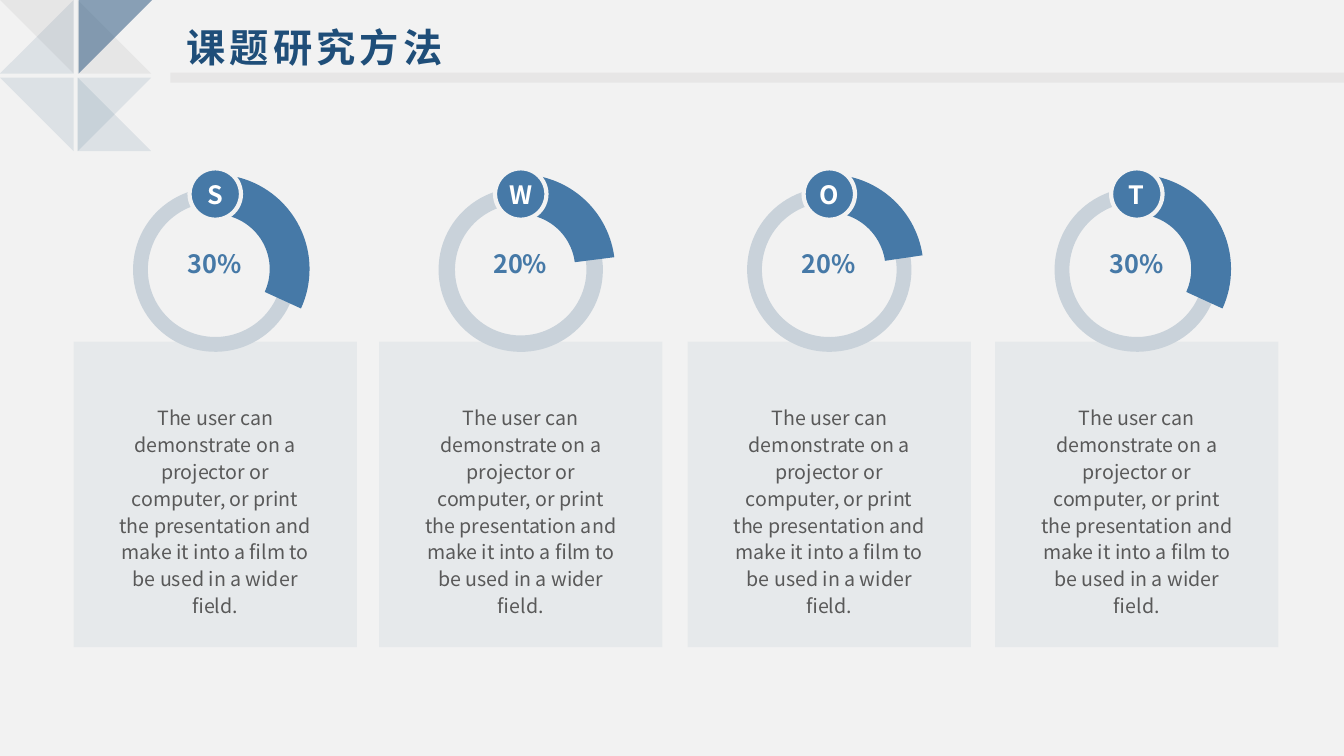
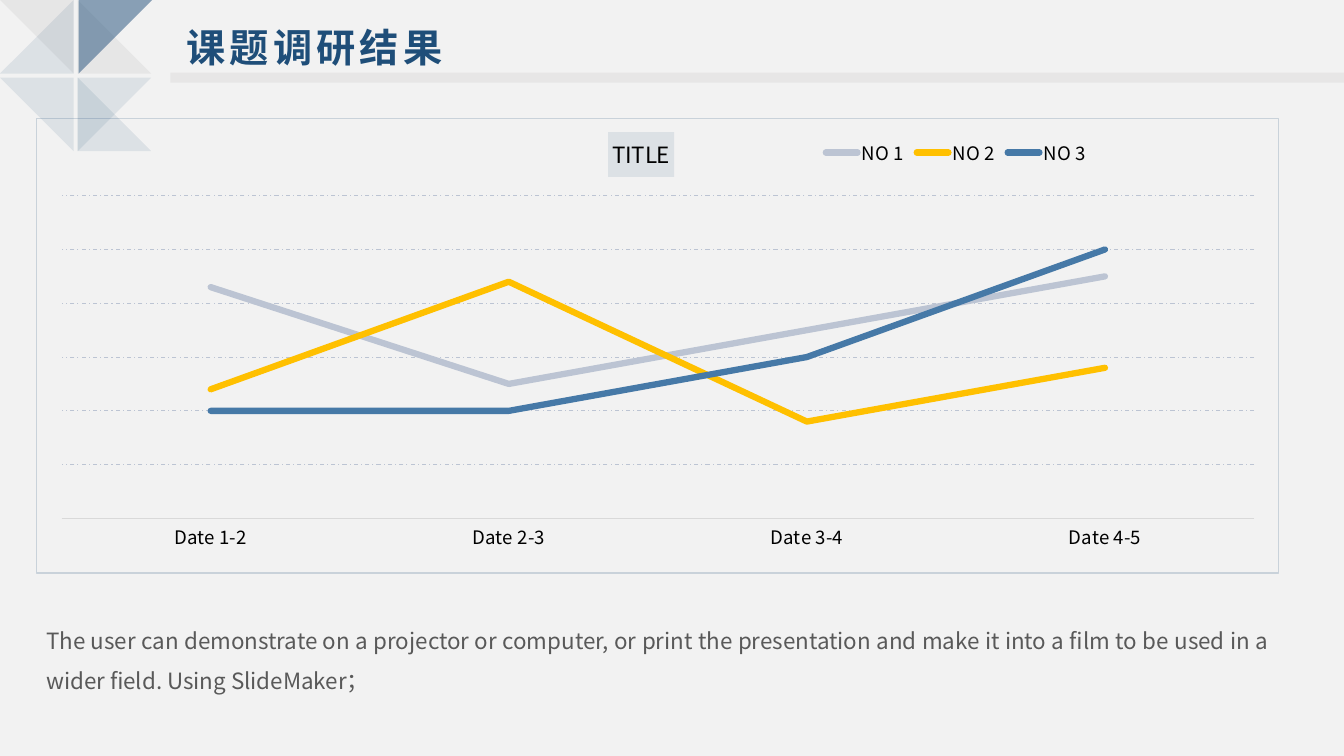
from dataclasses import dataclass
from typing import Any, NamedTuple

import lxml.etree
import pptx
import pptx.chart.chart
import pptx.chart.data
import pptx.dml.color
import pptx.dml.fill
import pptx.enum.chart
import pptx.enum.dml
import pptx.enum.shapes
import pptx.enum.text
import pptx.oxml.ns
import pptx.shapes.autoshape
import pptx.slide
import pptx.text.text
import pptx.util

Inches = pptx.util.Inches
Pt = pptx.util.Pt
qn = pptx.oxml.ns.qn
Preset = pptx.enum.shapes.MSO_SHAPE
Align = pptx.enum.text.PP_ALIGN
AutoSize = pptx.enum.text.MSO_AUTO_SIZE
Shape = pptx.shapes.autoshape.Shape
Slide = pptx.slide.Slide


@dataclass(frozen=True)
class Theme:
    font: str = "Noto Sans CJK SC"
    paper: str = "F2F2F2"
    navy: str = "1F4E79"
    blue: str = "4679A7"
    ring: str = "C9D2DA"
    panel: str = "DCE1E5"
    band: str = "E7E6E6"
    grey: str = "7F7F7F"
    body: str = "595959"
    white: str = "FFFFFF"
    black: str = "000000"
    axis: str = "D9D9D9"
    mist: str = "BCC4D3"
    gold: str = "FFC000"
    title_size: float = 28
    mark_size: float = 18
    text_size: float = 16
    card_size: float = 14
    chart_size: float = 13.3


THEME = Theme()


class Box(NamedTuple):
    left: float
    top: float
    width: float
    height: float

    def lengths(self) -> tuple[pptx.util.Length, ...]:
        return tuple(Inches(side) for side in self)


class TextStyle(NamedTuple):
    size: float
    color: str
    bold: bool = False
    align: Any = Align.LEFT
    line_height: float | None = None  # points


class Triangle(NamedTuple):
    """A square without one corner: 0 top left, then clockwise."""
    left: float
    top: float
    missing: int
    color: str
    opacity: int


class Factor(NamedTuple):
    letter: str
    percent: str
    card_left: float
    ring_turn: float
    ring_start: float
    ring_end: float
    ring_depth: float
    arc_end: float
    arc_depth: float


class Series(NamedTuple):
    name: str
    values: tuple[int, ...]
    color: str


TITLE = TextStyle(THEME.title_size, THEME.navy, True, Align.LEFT, 35.8)
CARD_TEXT = TextStyle(THEME.card_size, THEME.body, False, Align.CENTER, 19.15)
SUMMARY = TextStyle(THEME.text_size, THEME.body, False, Align.JUSTIFY, 28.8)
PERCENT = TextStyle(THEME.mark_size, THEME.blue, True, Align.CENTER, 22.6)
BADGE = TextStyle(THEME.mark_size, THEME.white, True, Align.CENTER)

SQUARE = 0.73
TRIANGLES = (
    Triangle(0, 0, 3, THEME.grey, 10),
    Triangle(0, 0, 0, THEME.navy, 10),
    Triangle(0.77, 0, 1, THEME.grey, 10),
    Triangle(0.77, 0.77, 2, THEME.navy, 10),
    Triangle(0, 0.77, 3, THEME.navy, 10),
    Triangle(0.77, 0.77, 1, THEME.navy, 10),
    Triangle(0.78, 0, 2, THEME.navy, 50),
)
FACTORS = (
    Factor("S", "30%", 0.73, 280.1, 87.71, 84.38, 0.09, 24.55, 0.21),
    Factor("W", "20%", 3.76, 244.3, 87.71, 85.84, 0.1, 352.78, 0.21),
    Factor("O", "20%", 6.82, 239, 87.71, 84.38, 0.09, 351.61, 0.2),
    Factor("T", "30%", 9.87, 280.1, 87.71, 84.38, 0.09, 24.55, 0.21),
)
DATES = ("Date 1-2", "Date 2-3", "Date 3-4", "Date 4-5")
SERIES = (
    Series("NO 1", (86, 50, 70, 90), THEME.mist),
    Series("NO 2", (48, 88, 36, 56), THEME.gold),
    Series("NO 3", (40, 40, 60, 100), THEME.blue),
)
PITCH = ("The user can demonstrate on a projector or computer, or print the "
         "presentation and make it into a film to be used in a wider field.")


def rgb(color: str) -> pptx.dml.color.RGBColor:
    return pptx.dml.color.RGBColor.from_string(color)


def set_all(target: Any, values: dict[str, Any]) -> None:
    for attribute, value in values.items():
        setattr(target, attribute, value)


def paint(fill: pptx.dml.fill.FillFormat, color: str) -> None:
    fill.solid()
    fill.fore_color.rgb = rgb(color)


def finish(shape: Shape, color: str, opacity: int = 100) -> Shape:
    """Flat fill, no outline, no shadow."""
    shape.shadow.inherit = False
    shape.line.fill.background()
    paint(shape.fill, color)
    if opacity < 100:
        tint = shape.element.spPr.find(qn("a:solidFill"))[0]
        lxml.etree.SubElement(tint, qn("a:alpha"), val=str(opacity * 1000))
    return shape


def add_preset(slide: Slide, preset: Any, box: Box, color: str, opacity: int = 100) -> Shape:
    return finish(slide.shapes.add_shape(preset, *box.lengths()), color, opacity)


def add_arc(slide: Slide, box: Box, color: str, start: float, end: float, depth: float) -> Shape:
    """Block arc running clockwise between two angles in degrees."""
    arc = add_preset(slide, Preset.BLOCK_ARC, box, color)
    for index, value in enumerate((start * 0.6, end * 0.6, depth)):
        arc.adjustments[index] = value
    return arc


def write(frame: pptx.text.text.TextFrame, text: str, style: TextStyle,
          **frame_format: Any) -> pptx.text.text.TextFrame:
    set_all(frame, {"word_wrap": True, **frame_format})
    paragraph = frame.paragraphs[0]
    paragraph.alignment = style.align
    if style.line_height:
        paragraph.line_spacing = Pt(style.line_height)
    run = paragraph.add_run()
    run.text = text
    set_all(run.font, {"name": THEME.font, "size": Pt(style.size), "bold": style.bold})
    run.font.color.rgb = rgb(style.color)
    lxml.etree.SubElement(run.font._element, qn("a:ea"), typeface=THEME.font)
    return frame


def add_text(slide: Slide, box: Box, text: str, style: TextStyle,
             **frame_format: Any) -> pptx.text.text.TextFrame:
    label = slide.shapes.add_textbox(*box.lengths())
    return write(label.text_frame, text, style, **frame_format)


def add_triangle(slide: Slide, triangle: Triangle) -> None:
    left, top = triangle.left, triangle.top
    right, bottom = left + SQUARE, top + SQUARE
    corners = [(left, top), (right, top), (right, bottom), (left, bottom)]
    del corners[triangle.missing]
    points = [(Inches(x), Inches(y)) for x, y in corners]
    outline = slide.shapes.build_freeform(*points[0], scale=1.0)
    outline.add_line_segments(points[1:], close=True)
    finish(outline.convert_to_shape(), triangle.color, triangle.opacity)


def add_header(slide: Slide, title: str) -> None:
    add_preset(slide, Preset.RECTANGLE, Box(1.69, 0.72, 11.65, 0.1), THEME.band)
    heading = add_text(slide, Box(1.55, 0.15, 4.82, 0.57), title, TITLE,
                       auto_size=AutoSize.SHAPE_TO_FIT_TEXT).paragraphs[0]
    heading._p.get_or_add_pPr().set("marL", str(Inches(0.2)))
    heading.runs[0].font._element.set("spc", "300")
    for triangle in TRIANGLES:
        add_triangle(slide, triangle)


def add_factor(slide: Slide, factor: Factor) -> None:
    left = factor.card_left
    no_insets = dict.fromkeys(
        ("margin_left", "margin_top", "margin_right", "margin_bottom"), 0)
    add_preset(slide, Preset.RECTANGLE, Box(left, 3.39, 2.81, 3.03), THEME.panel, 50)
    add_text(slide, Box(left + 0.33, 3.95, 2.15, 1.7), PITCH, CARD_TEXT,
             auto_size=AutoSize.SHAPE_TO_FIT_TEXT)
    add_preset(slide, Preset.OVAL, Box(left + 0.71, 1.94, 1.45, 1.45), THEME.paper)
    ring = add_arc(slide, Box(left + 0.59, 1.86, 1.63, 1.63), THEME.ring,
                   factor.ring_start, factor.ring_end, factor.ring_depth)
    ring.rotation = factor.ring_turn
    add_arc(slide, Box(left + 0.46, 1.73, 1.88, 1.88), THEME.blue,
            270, factor.arc_end, factor.arc_depth)
    badge = add_preset(slide, Preset.OVAL, Box(left + 1.15, 1.67, 0.51, 0.51), THEME.blue)
    paint(badge.line.fill, THEME.paper)
    badge.line.width = Pt(3)
    write(badge.text_frame, factor.letter, BADGE,
          vertical_anchor=pptx.enum.text.MSO_ANCHOR.MIDDLE, **no_insets)
    add_text(slide, Box(left + 1.02, 2.45, 0.76, 0.39), factor.percent, PERCENT,
             **{**no_insets, "word_wrap": False})


def place(chart: pptx.chart.chart.Chart, tag: str, index: int, **fractions: float) -> None:
    """Give a chart part a manual layout, as fractions of the chart area."""
    part = chart.element.find(f".//{qn(tag)}")
    for automatic in part.findall(qn("c:layout")):
        part.remove(automatic)
    layout = lxml.etree.Element(qn("c:layout"))
    manual = lxml.etree.SubElement(layout, qn("c:manualLayout"))
    settings: dict[str, Any] = {"xMode": "edge", "yMode": "edge", **fractions}
    if tag == "c:plotArea":
        settings = {"layoutTarget": "inner", **settings}
    for name, value in settings.items():
        lxml.etree.SubElement(manual, qn(f"c:{name}"), val=str(value))
    part.insert(index, layout)


def add_border(chart: pptx.chart.chart.Chart) -> None:
    frame = lxml.etree.Element(qn("c:spPr"))
    lxml.etree.SubElement(frame, qn("a:noFill"))
    line = lxml.etree.SubElement(frame, qn("a:ln"), w=str(Pt(0.75)))
    fill = lxml.etree.SubElement(line, qn("a:solidFill"))
    lxml.etree.SubElement(fill, qn("a:srgbClr"), val=THEME.ring)
    chart.element.find(qn("c:txPr")).addprevious(frame)


def add_trend_chart(slide: Slide, box: Box) -> None:
    data = pptx.chart.data.CategoryChartData()
    data.categories = DATES
    for series in SERIES:
        data.add_series(series.name, series.values)
    chart = slide.shapes.add_chart(
        pptx.enum.chart.XL_CHART_TYPE.LINE, *box.lengths(), data).chart
    set_all(chart.font, {"name": THEME.font, "size": Pt(THEME.chart_size)})
    chart.font.color.rgb = rgb(THEME.black)
    add_border(chart)

    chart.has_title = True
    write(chart.chart_title.text_frame, "TITLE",
          TextStyle(THEME.text_size, THEME.black, False, Align.CENTER))
    paint(chart.chart_title.format.fill, THEME.panel)
    chart.has_legend = True
    set_all(chart.legend, {"position": pptx.enum.chart.XL_LEGEND_POSITION.BOTTOM,
                           "include_in_layout": False})
    place(chart, "c:title", 1, x=0.46, y=0.03)
    place(chart, "c:legend", 1, x=0.63, y=0.04, w=0.22, h=0.07)
    place(chart, "c:plotArea", 0, x=0.02, y=0.17, w=0.96, h=0.71)

    no_tick = pptx.enum.chart.XL_TICK_MARK.NONE
    set_all(chart.category_axis, {"major_tick_mark": no_tick, "minor_tick_mark": no_tick})
    set_all(chart.value_axis, {"minimum_scale": 0, "maximum_scale": 120, "major_unit": 20,
                               "has_major_gridlines": True, "visible": False})
    grid = chart.value_axis.major_gridlines.format.line
    for line, color in ((chart.category_axis.format.line, THEME.axis), (grid, THEME.mist)):
        paint(line.fill, color)
        line.width = Pt(0.75)
    grid.dash_style = pptx.enum.dml.MSO_LINE.DASH_DOT

    plot = chart.plots[0]
    plot.vary_by_categories = False
    for trend, series in zip(plot.series, SERIES):
        trend.smooth = False
        paint(trend.format.line.fill, series.color)
        trend.format.line.width = Pt(4.5)
    for stroke in chart.element.iterfind(f".//{qn('c:ser')}/{qn('c:spPr')}/{qn('a:ln')}"):
        stroke.set("cap", "rnd")


def main() -> None:
    deck = pptx.Presentation()
    set_all(deck, {"slide_width": Inches(13.33), "slide_height": Inches(7.5)})
    paint(deck.slide_master.background.fill, THEME.paper)
    blank = deck.slide_layouts[6]

    methods = deck.slides.add_slide(blank)
    for factor in FACTORS:
        add_factor(methods, factor)
    add_header(methods, "课题研究方法")

    results = deck.slides.add_slide(blank)
    add_trend_chart(results, Box(0.36, 1.17, 12.33, 4.52))
    add_text(results, Box(0.36, 6.04, 12.33, 1.27), f"{PITCH} Using SlideMaker；", SUMMARY)
    add_header(results, "课题调研结果")

    deck.save("out.pptx")


if __name__ == "__main__":
    main()
